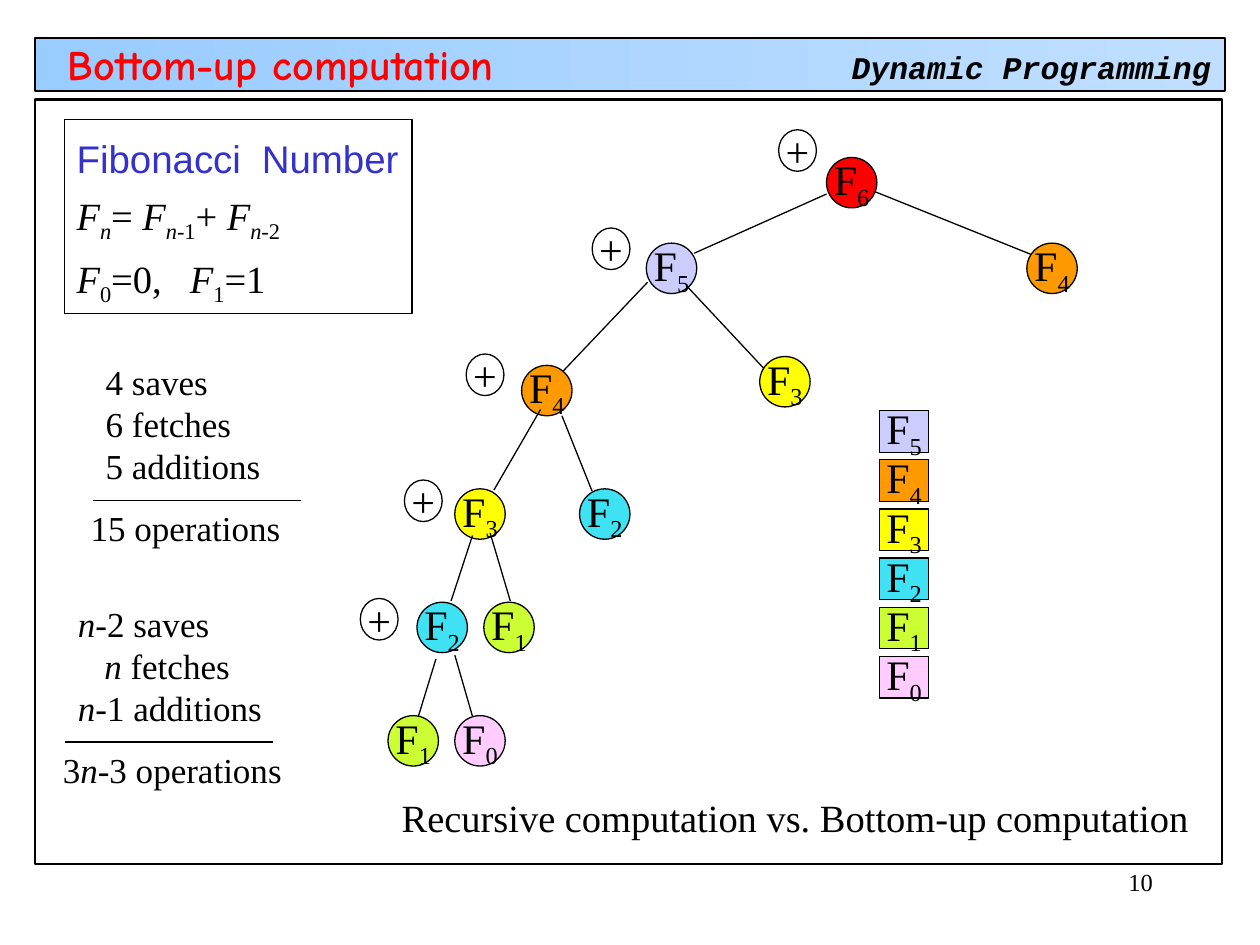
from collections import namedtuple

from lxml.etree import SubElement
from pptx import Presentation
from pptx.dml.color import RGBColor as Rgb
from pptx.enum.shapes import MSO_CONNECTOR as Connector
from pptx.enum.shapes import MSO_SHAPE as Shape
from pptx.enum.text import MSO_ANCHOR as Anchor
from pptx.enum.text import MSO_AUTO_SIZE as AutoSize
from pptx.enum.text import PP_ALIGN as Align
from pptx.oxml.ns import qn
from pptx.util import Inches, Pt

Box = namedtuple("Box", "left top width height")
COLUMNS, ROWS = 100, 75
CELL = Inches(10) // COLUMNS
SERIF = "Times New Roman"
COLOURS = {
    "ink": "000000", "title": "FF0000", "heading": "3333CC",
    "band start": "99CCFF", "band end": "C0DFFF",
    "F0": "FFCCFF", "F1": "CCFF33", "F2": "3FE2F3", "F3": "FFFF00",
    "F4": "FF9900", "F5": "CCCCFF", "F6": "FF0000",
}
Call = namedtuple("Call", "index left top plus edges", defaults=(None, ()))
CALLS = [
    Call(6, 37.6, 2.5, (33.8, 0.3), [(37.6, 5.4, 27.1, 10.1), (41.4, 5.2, 54.1, 10.3)]),
    Call(4, 53.5, 9.3),
    Call(5, 23.3, 9.3, (19, 8.1), [(23.4, 12.4, 15.7, 20.5), (26.6, 12.8, 33.8, 20.5)]),
    Call(3, 32.3, 18.3),
    Call(4, 13.4, 19, (9, 18.1), [(14.9, 22.5, 11.2, 28.9), (16.6, 23, 19, 29)]),
    Call(2, 18, 28.8),
    Call(3, 8.1, 28.8, (4.1, 28.1), [(9.5, 32.5, 7.8, 37.7), (10.9, 32.3, 12.5, 37.7)]),
    Call(1, 10.4, 37.8),
    Call(2, 5.1, 37.8, (0.6, 37.5), [(6.6, 42.3, 5.1, 47.2), (8.1, 42, 9.6, 47.2)]),
    Call(1, 2.8, 46.8),
    Call(0, 8.1, 46.8),
]


def cells(*lengths):
    """Turn grid lengths into slide units."""
    return [round(length * CELL) for length in lengths]


def colour(name):
    """Look up a named colour."""
    return Rgb.from_string(COLOURS[name])


def write(para, text, size=20, font=SERIF, ink="ink", bold=False, italic=False,
          align=Align.LEFT, spacing=None, indent=0, tab=None):
    """Write text in which * toggles italics and _ toggles subscripts."""
    properties = para._p.get_or_add_pPr()
    if indent:
        properties.set("marL", str(cells(indent)[0]))
    if tab:
        tabs = SubElement(properties, qn("a:tabLst"))
        SubElement(tabs, qn("a:tab"), pos=str(cells(tab)[0]), algn="l")
    para.alignment = align
    if spacing:
        para.line_spacing = spacing
    for level, part in enumerate(text.split("_")):
        for turn, piece in enumerate(part.split("*")):
            italic = italic != (turn > 0)
            if not piece:
                continue
            span = para.add_run()
            span.text = piece
            span.font.size, span.font.name = Pt(size), font
            span.font.bold, span.font.italic = bold, italic
            span.font.color.rgb = colour(ink)
            if level % 2:
                span.font._element.set("baseline", "-25000")


def add_text(page, box, lines, wrap=False, anchor=Anchor.TOP, **style):
    """Add a text box; each line is text or a pair of text and extra format."""
    label = page.shapes.add_textbox(*cells(*box))
    frame = label.text_frame
    frame.word_wrap = wrap
    frame.auto_size = AutoSize.NONE if wrap else AutoSize.SHAPE_TO_FIT_TEXT
    frame.vertical_anchor = anchor
    for number, line in enumerate(lines):
        text, extra = (line, {}) if isinstance(line, str) else line
        para = frame.add_paragraph() if number else frame.paragraphs[0]
        write(para, text, **{**style, **extra})
    return label


def add_outline(page, box, kind=Shape.RECTANGLE, fill=None, width=0.75, text=""):
    """Add an outlined shape with an optional fill and centred text."""
    shape = page.shapes.add_shape(kind, *cells(*box))
    shape.shadow.inherit = False
    shape.line.color.rgb, shape.line.width = colour("ink"), Pt(width)
    if fill:
        shape.fill.solid()
        shape.fill.fore_color.rgb = colour(fill)
    else:
        shape.fill.background()
    if text:
        frame = shape.text_frame
        frame.word_wrap, frame.vertical_anchor = False, Anchor.MIDDLE
        write(frame.paragraphs[0], text, size=24, align=Align.CENTER)
    return shape


def add_line(page, *ends):
    """Add a thin straight line between two points."""
    line = page.shapes.add_connector(Connector.STRAIGHT, *cells(*ends))
    line.line.color.rgb, line.line.width = colour("ink"), Pt(0.75)
    SubElement(line._element.spPr, qn("a:effectLst"))


def add_header(page, box):
    """Draw the shaded band with the slide title and the course name."""
    band = add_outline(page, box, width=1.25)
    band.fill.gradient()
    band.fill.gradient_angle = 0
    for stop, name in zip(band.fill.gradient_stops, ("band start", "band end")):
        stop.color.rgb = colour(name)
    add_text(page, Box(box.left + 63.8, box.top + 0.3, 30.5, 4), ["Dynamic Programming"],
             size=18, font="Courier New", bold=True, italic=True)
    add_text(page, Box(box.left + 1.6, box.top + 0.8, 51.7, 2.5), ["Bottom-up computation"],
             wrap=True, anchor=Anchor.MIDDLE, size=24, font="Comic Neue", ink="title", bold=True)


def add_definition(page, box):
    """Draw the framed definition of the Fibonacci numbers."""
    heading = {"font": "Arial", "ink": "heading", "tab": 14.7}
    panel = add_text(page, box, [
        ("Fibonacci\tNumber", heading),
        "*F_n_*= *F_n*-1_+ *F_n*-2_",
        ("*F*_0_=0,\t*F*_1_=1", {"tab": 9}),
    ], size=22, spacing=1.2)
    panel.line.color.rgb, panel.line.width = colour("ink"), Pt(0.75)


def add_tally(page, box, counts, total):
    """Draw a list of operation counts, a rule and their total."""
    rule_left, rule_top = box.left + 1.2, box.top + 11.6
    add_text(page, Box(rule_left, box.top, box.width - 2.8, 11), counts)
    add_line(page, rule_left, rule_top, rule_left + 16.5, rule_top)
    add_text(page, Box(box.left, rule_top, box.width, 4.4), [total])


def add_tree(page, box):
    """Draw the call tree from the root down, with a plus at each addition."""
    for call in CALLS:
        name = f"F{call.index}"
        place = Box(box.left + call.left, box.top + call.top, 4, 4)
        add_outline(page, place, Shape.OVAL, name, text=f"F_{call.index}_")
        for x1, y1, x2, y2 in call.edges:
            add_line(page, box.left + x1, box.top + y1, box.left + x2, box.top + y2)
        if call.plus:
            left, top = call.plus
            add_outline(page, Box(box.left + left, box.top + top, 3, 3.3), Shape.OVAL, text="+")


def add_table_of_values(page, box, count=6):
    """Stack the stored values from the highest index down to zero."""
    step = box.height / count
    for row, index in enumerate(reversed(range(count))):
        place = Box(box.left, box.top + row * step, box.width, 3.3)
        add_outline(page, place, fill=f"F{index}", text=f"F_{index}_")


def main():
    """Build the slide and save it."""
    deck = Presentation()
    deck.slide_width, deck.slide_height = cells(COLUMNS, ROWS)
    page = deck.slides.add_slide(deck.slide_layouts[6])
    add_header(page, Box(2.8, 3, 94.4, 4.2))
    add_outline(page, Box(2.8, 7.9, 94.2, 60.7), width=1.25)
    add_definition(page, Box(5.1, 9.5, 27.6, 15.4))
    add_tally(page, Box(6.2, 28.1, 17.1, 16), ["4 saves", "6 fetches", "5 additions"],
              "15 operations")
    add_tally(page, Box(4, 47.3, 19.4, 16),
              ["*n*-2 saves", ("*n* fetches", {"indent": 2.1}), "*n*-1 additions"],
              "3*n*-3 operations")
    add_tree(page, Box(28, 10, 57.5, 50.8))
    add_table_of_values(page, Box(69.8, 32.6, 3.9, 23.4))
    add_text(page, Box(30.9, 62.5, 64.4, 4.7),
             ["Recursive computation vs. Bottom-up computation"], size=22)
    add_text(page, Box(79.2, 68.3, 13.3, 5), ["10"], wrap=True, size=14, align=Align.RIGHT)
    deck.save("out.pptx")


if __name__ == "__main__":
    main()
